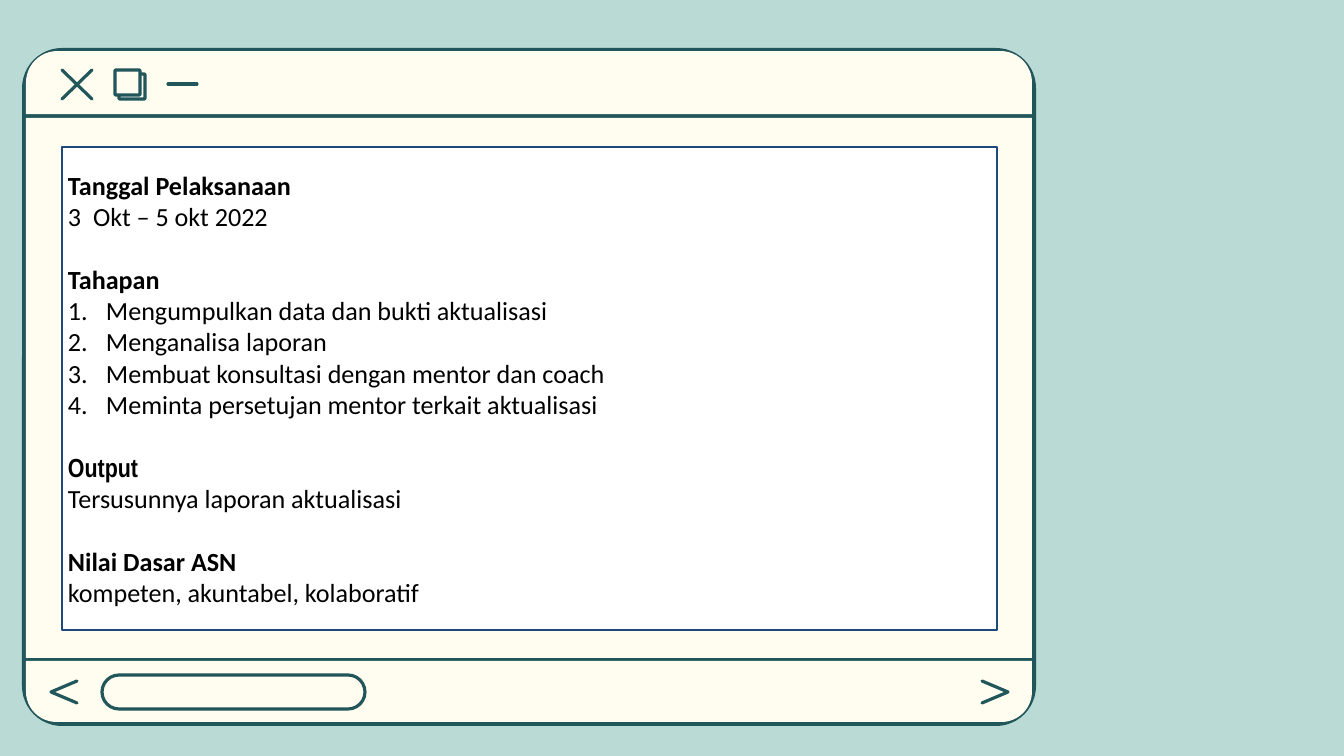
from lxml import etree
from pptx import Presentation
from pptx.dml.color import RGBColor
from pptx.enum.shapes import MSO_CONNECTOR, MSO_SHAPE
from pptx.enum.text import MSO_ANCHOR, MSO_AUTO_SIZE, PP_ALIGN
from pptx.oxml.ns import qn
from pptx.util import Pt

PX = 914400 / 67.2
COLORS = {"background": "BADAD5", "outline": "21565A", "window": "FFFCF0",
          "panel": "FFFFFF", "panel_line": "1F497D", "text": "000000"}
FONT = "Calibri"
TEXT_SIZE = 28
SECTION_GAP = 33.5
NUMBER_INDENT = 38
PANEL_INSET = 6
STROKE = 3.4

# heading, heading font, lines, numbered
SECTIONS = [
    ("Tanggal Pelaksanaan", FONT, ["3  Okt – 5 okt 2022"], False),
    ("Tahapan", FONT, ["Mengumpulkan data dan bukti aktualisasi",
                       "Menganalisa laporan",
                       "Membuat konsultasi dengan mentor dan coach",
                       "Meminta persetujan mentor terkait aktualisasi"], True),
    ("Output", "Arial Narrow", ["Tersusunnya laporan aktualisasi"], False),
    ("Nilai Dasar ASN", FONT, ["kompeten, akuntabel, kolaboratif"], False),
]

# preset, (left, top, width, height), corner radii, fill, outlined
ROUNDED, TOP_BOTTOM = MSO_SHAPE.ROUNDED_RECTANGLE, MSO_SHAPE.ROUND_2_SAME_RECTANGLE
BOXES = [
    (ROUNDED, (22, 48, 1014, 678), [40], "outline", False),           # window frame
    (TOP_BOTTOM, (26, 51, 1006, 63), [37, 0], "window", False),       # title bar
    (MSO_SHAPE.RECTANGLE, (26, 118, 1006, 540), [], "window", False),  # window body
    (TOP_BOTTOM, (26, 661, 1006, 61), [0, 37], "window", False),      # bottom bar
    (ROUNDED, (119, 74, 26, 25), [1], "window", True),                # restore icon, back
    (ROUNDED, (115, 70, 25, 25), [1], "window", True),                # restore icon, front
    (ROUNDED, (102, 675, 263, 34), [17], "window", True),             # scroll bar
]
PANEL = (62, 147, 935, 483)
# x1, y1, x2, y2
LINES = [
    (62, 70, 92, 99),          # close icon
    (62, 99, 92, 70),
    (168, 84, 197, 84),        # minimise icon
]
CHEVRONS = [[(77, 681), (51, 692), (77, 703)],
            [(982, 681), (1008, 692), (982, 703)]]


def px(value):
    return round(value * PX)


def color(name):
    return RGBColor.from_string(COLORS[name])


def style_line(line):
    line.color.rgb = color("outline")
    line.width = Pt(STROKE)
    line._get_or_add_ln().set("cap", "rnd")


def add_box(slide, preset, place, radii, fill, outlined):
    box = slide.shapes.add_shape(preset, *map(px, place))
    for index, radius in enumerate(radii):
        box.adjustments[index] = min(0.5, radius / min(place[2:]))
    box.shadow.inherit = False
    box.fill.solid()
    box.fill.fore_color.rgb = color(fill)
    if outlined:
        style_line(box.line)
    else:
        box.line.fill.background()


def add_line(slide, x1, y1, x2, y2):
    line = slide.shapes.add_connector(MSO_CONNECTOR.STRAIGHT, px(x1), px(y1), px(x2), px(y2))
    style_line(line.line)
    etree.SubElement(line._element.spPr, qn("a:effectLst"))


def add_chevron(slide, points):
    builder = slide.shapes.build_freeform(*points[0], scale=PX)
    builder.add_line_segments(points[1:], close=False)
    chevron = builder.convert_to_shape()
    chevron.shadow.inherit = False
    chevron.fill.background()
    style_line(chevron.line)


def add_paragraph(text_frame, text, font=FONT, bold=False, numbered=False, gap=False):
    first = not text_frame.text
    paragraph = text_frame.paragraphs[0] if first else text_frame.add_paragraph()
    paragraph.text = text
    paragraph.alignment = PP_ALIGN.JUSTIFY
    paragraph.space_before = Pt(SECTION_GAP if gap else 0)
    properties = paragraph._p.get_or_add_pPr()
    indent = px(NUMBER_INDENT) if numbered else 0
    properties.set("marL", str(indent))
    properties.set("indent", str(-indent))
    if numbered:
        etree.SubElement(properties, qn("a:buFont"), typeface="+mj-lt")
        etree.SubElement(properties, qn("a:buAutoNum"), type="arabicPeriod")
    else:
        etree.SubElement(properties, qn("a:buNone"))
    run_font = paragraph.runs[0].font
    run_font.name = font
    run_font.size = Pt(TEXT_SIZE)
    run_font.bold = bold
    run_font.color.rgb = color("text")


def fill_panel(slide):
    panel = slide.placeholders[1]
    panel.left, panel.top, panel.width, panel.height = map(px, PANEL)
    panel.fill.solid()
    panel.fill.fore_color.rgb = color("panel")
    panel.line.color.rgb = color("panel_line")
    panel.line.width = Pt(2)
    text_frame = panel.text_frame
    text_frame.word_wrap = True
    text_frame.auto_size = MSO_AUTO_SIZE.NONE
    text_frame.vertical_anchor = MSO_ANCHOR.MIDDLE
    text_frame.margin_left = px(PANEL_INSET)
    for index, (heading, font, lines, numbered) in enumerate(SECTIONS):
        add_paragraph(text_frame, heading, font, bold=True, gap=index > 0)
        for line in lines:
            add_paragraph(text_frame, line, numbered=numbered)
    slide.shapes._spTree.append(panel._element)  # bring in front of the window


def main():
    presentation = Presentation()
    presentation.slide_width, presentation.slide_height = px(1344), px(756)
    slide = presentation.slides.add_slide(presentation.slide_layouts[1])
    title = slide.shapes.title._element
    title.getparent().remove(title)
    slide.background.fill.solid()
    slide.background.fill.fore_color.rgb = color("background")
    for box in BOXES:
        add_box(slide, *box)
    for line in LINES:
        add_line(slide, *line)
    for points in CHEVRONS:
        add_chevron(slide, points)
    fill_panel(slide)
    presentation.save("out.pptx")


if __name__ == "__main__":
    main()
